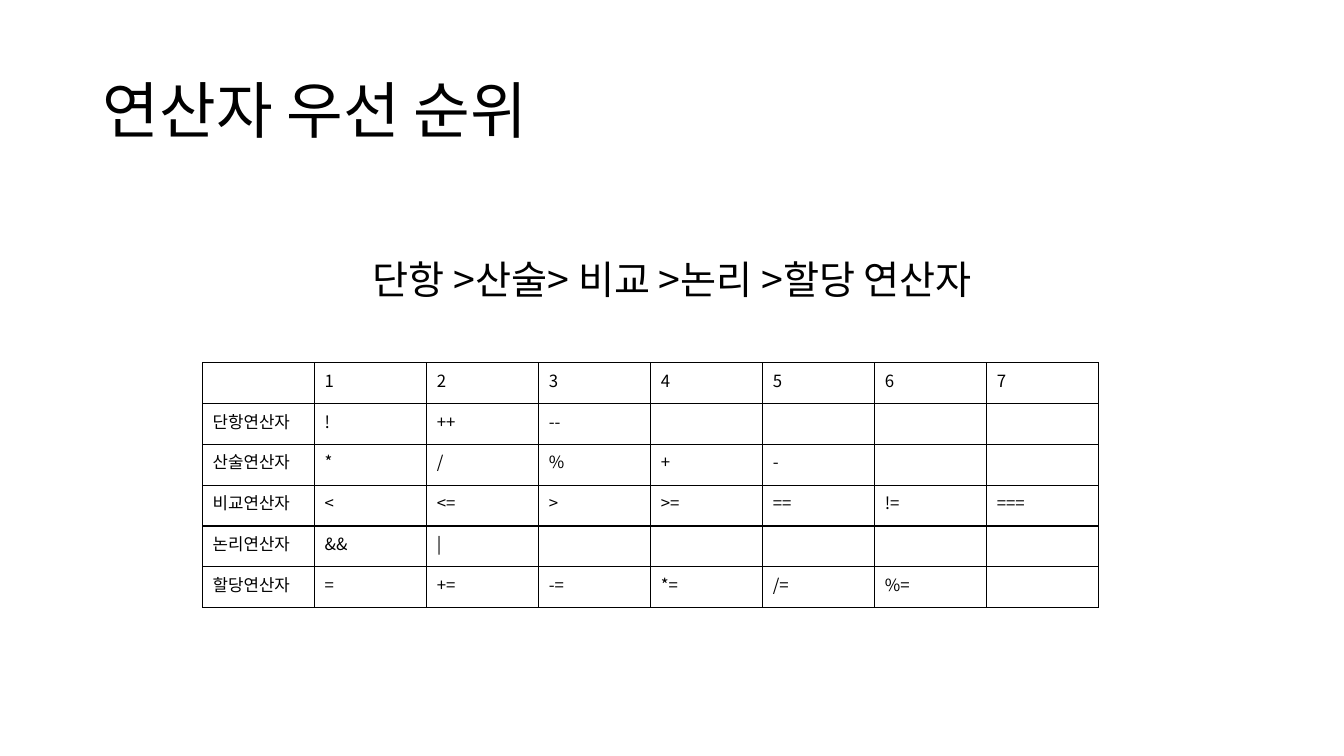
from lxml import etree
from pptx import Presentation
from pptx.dml.color import RGBColor
from pptx.enum.text import MSO_ANCHOR, PP_ALIGN
from pptx.oxml.ns import qn
from pptx.util import Inches, Pt

LEFT, CENTER = PP_ALIGN.LEFT, PP_ALIGN.CENTER
TOP, MIDDLE = MSO_ANCHOR.TOP, MSO_ANCHOR.MIDDLE
FONT = "Noto Sans CJK KR"
COLORS = {"text": "000000", "border": "000000"}

OPERATORS = {
    "": "1 2 3 4 5 6 7",
    "단항연산자": "! ++ --",
    "산술연산자": "* / % + -",
    "비교연산자": "< <= > >= == != ===",
    "논리연산자": "&& |",
    "할당연산자": "= += -= *= /= %=",
}


def write(frame, text, size=12, align=LEFT, anchor=TOP, line_spacing=None):
    frame.word_wrap = True
    frame.vertical_anchor = anchor
    paragraph = frame.paragraphs[0]
    paragraph.alignment = align
    paragraph.line_spacing = line_spacing
    paragraph.font.size = Pt(size)
    if not text:
        return
    run = paragraph.add_run()
    run.text = text
    run.font.size = Pt(size)
    run.font.name = FONT
    run.font.color.rgb = RGBColor.from_string(COLORS["text"])
    east_asian = etree.SubElement(run.font._element, qn("a:ea"))
    east_asian.set("typeface", FONT)


class PrecedenceSlide:
    def __init__(self, presentation):
        self.slide = presentation.slides.add_slide(presentation.slide_layouts[5])

    def title(self, text, left, top, width, height):
        heading = self.slide.shapes.title
        heading.left, heading.top = Inches(left), Inches(top)
        heading.width, heading.height = Inches(width), Inches(height)
        write(heading.text_frame, text, size=44, anchor=MIDDLE, line_spacing=0.9)

    def text(self, text, left, top, width, height, **style):
        summary = self.slide.shapes.add_textbox(
            Inches(left), Inches(top), Inches(width), Inches(height))
        write(summary.text_frame, text, **style)

    def border(self, cell):
        properties = cell._tc.get_or_add_tcPr()
        for position, side in enumerate(("a:lnL", "a:lnR", "a:lnT", "a:lnB")):
            line = etree.Element(qn(side), w=str(Pt(1)))
            fill = etree.SubElement(line, qn("a:solidFill"))
            etree.SubElement(fill, qn("a:srgbClr"), val=COLORS["border"])
            properties.insert(position, line)

    def table(self, rows, left, top, width, height):
        columns = max(len(row) for row in rows)
        grid = self.slide.shapes.add_table(
            len(rows), columns, Inches(left), Inches(top),
            Inches(width), Inches(height)).table
        grid.first_row = grid.horz_banding = False
        for r, row in enumerate(rows):
            for c in range(columns):
                cell = grid.cell(r, c)
                cell.fill.background()
                self.border(cell)
                write(cell.text_frame, row[c] if c < len(row) else "")


def main():
    presentation = Presentation()
    presentation.slide_width = Inches(13.33)
    presentation.slide_height = Inches(7.5)
    precedence = PrecedenceSlide(presentation)
    precedence.title("연산자 우선 순위", 0.92, 0.4, 11.5, 1.45)
    precedence.text("단항 >산술> 비교 >논리 >할당 연산자", 0.92, 2.54, 11.5, 0.6,
                    size=28, align=CENTER, line_spacing=0.9)
    rows = [[name, *symbols.split()] for name, symbols in OPERATORS.items()]
    precedence.table(rows, 2.01, 3.6, 8.89, 2.43)
    presentation.save("out.pptx")


if __name__ == "__main__":
    main()
